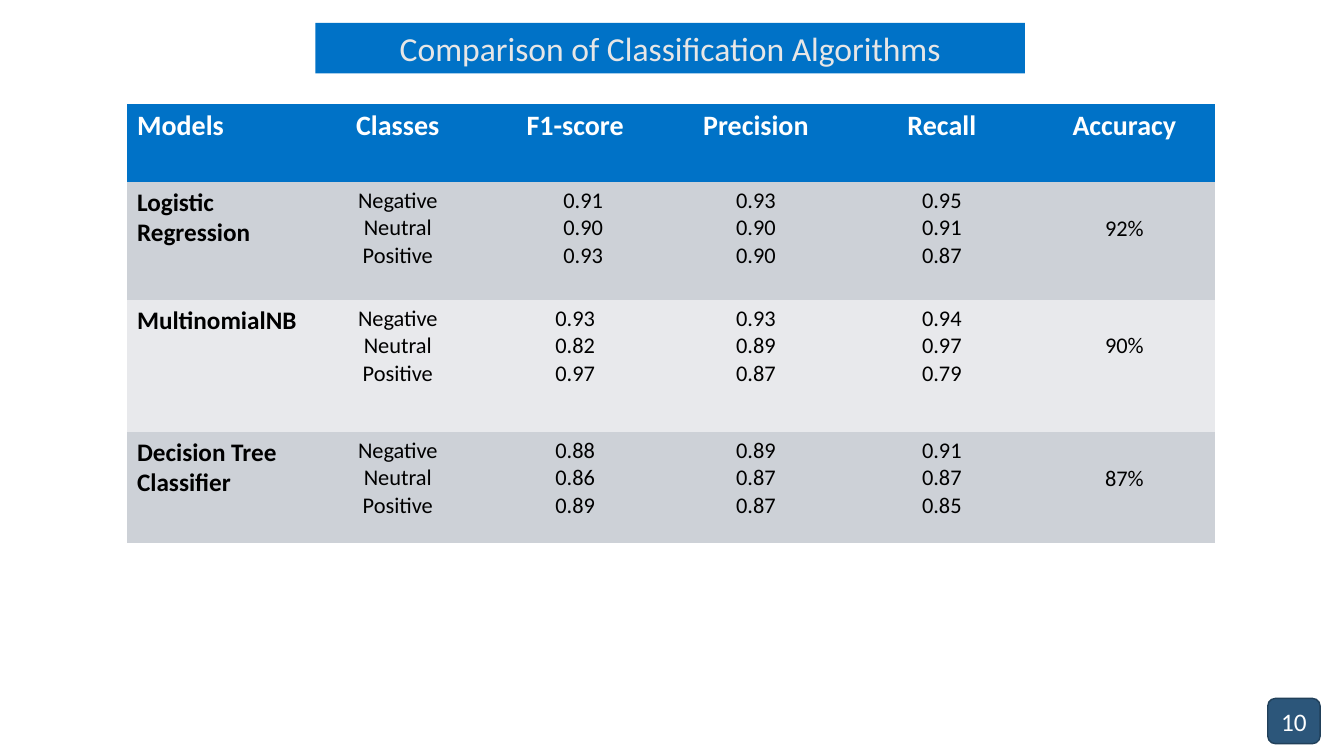
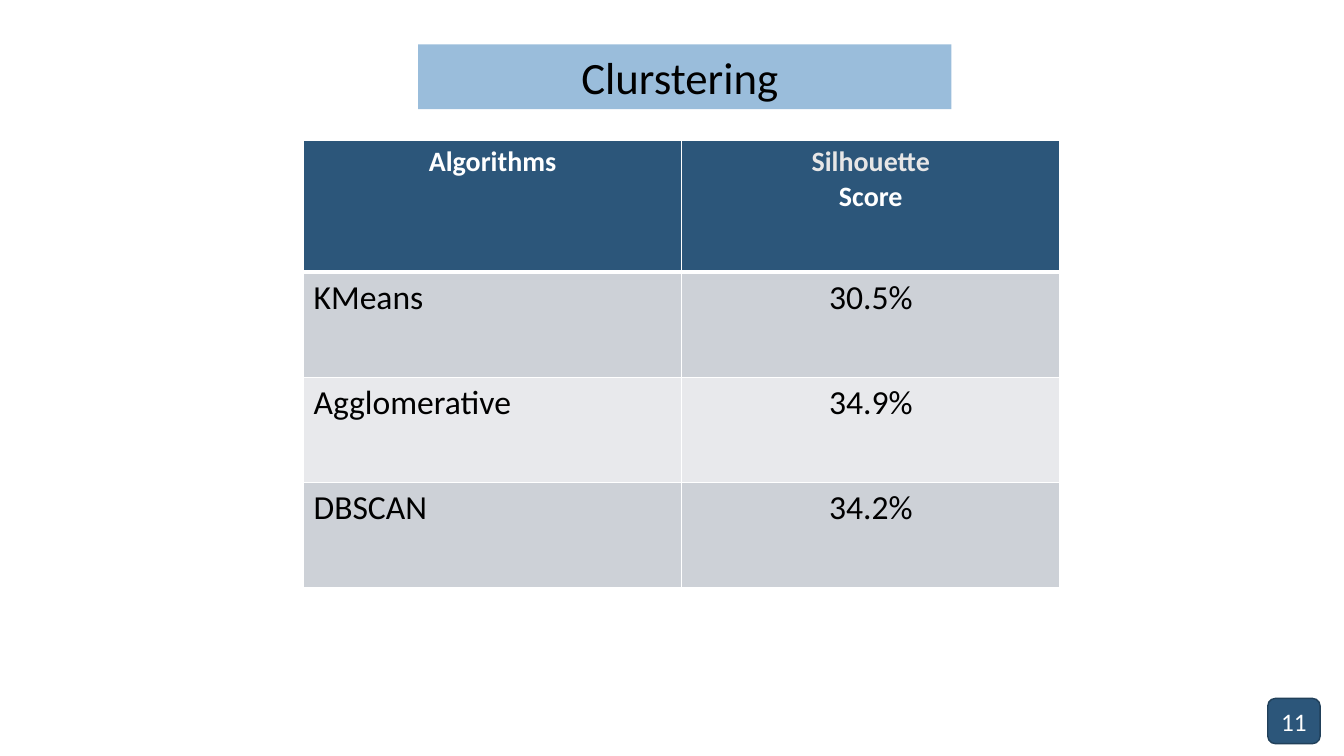
"""Build two slides that compare text models and clustering scores."""
from dataclasses import dataclass

from lxml.etree import SubElement as Sub
from pptx import Presentation as Deck
from pptx.dml.color import RGBColor as Rgb
from pptx.enum.shapes import MSO_SHAPE as Kind
from pptx.enum.text import MSO_ANCHOR as Anchor, PP_ALIGN as Align
from pptx.oxml.ns import qn
from pptx.shapes.autoshape import Shape
from pptx.slide import Slide
from pptx.table import Table
from pptx.text.text import TextFrame as Frame
from pptx.util import Cm, Pt

BLUE = Rgb(0x00, 0x72, 0xC7)
NAVY = Rgb(0x2C, 0x56, 0x7A)
EDGE = Rgb(0x21, 0x40, 0x5A)
SKY = Rgb(0x9A, 0xBD, 0xDB)
PALE = Rgb(0xE7, 0xE6, 0xE6)
WHITE = Rgb(0xFF, 0xFF, 0xFF)
BLACK = Rgb(0x00, 0x00, 0x00)
BANDS = (Rgb(0xCD, 0xD1, 0xD7), Rgb(0xE8, 0xE9, 0xEC))
FONT = "Calibri"
PLAIN = "{2D5ABB26-0587-4C30-8999-92F81FD0307C}"
LABELS = "Negative\nNeutral\nPositive"


@dataclass(frozen=True)
class Box:
    """Place and size in centimetres."""
    left: float
    top: float
    width: float
    height: float


@dataclass(frozen=True)
class Style:
    """Look of a piece of text."""
    size: int
    color: Rgb
    bold: bool = False
    align: Align = Align.CENTER


@dataclass(frozen=True)
class Grid:
    """Layout, looks and rows of a table."""
    left: float
    top: float
    cols: tuple[float, ...]
    rows: tuple[float, ...]
    fill: Rgb
    first: Style
    side: Style
    body: Style
    data: tuple[tuple[str, ...], ...]
    lined: bool = False


BADGE = Box(31.95, 17.6, 1.32, 1.14)
HEAD = Style(20, WHITE, True)

MODELS = Grid(
    3.2, 2.62, (4.55, 4.55, 4.39, 4.72, 4.65, 4.55), (1.97, 2.97, 3.33, 2.8), BLUE,
    Style(20, WHITE, True, Align.LEFT), Style(18, BLACK, True, Align.LEFT), Style(16, BLACK),
    (
        ("Models", "Classes", "F1-score", "Precision", "Recall", "Accuracy"),
        ("Logistic\nRegression", LABELS, "0.91\n0.90\n0.93", "0.93\n0.90\n0.90",
         "0.95\n0.91\n0.87", "92%"),
        ("MultinomialNB", LABELS, "0.93\n0.82\n0.97", "0.93\n0.89\n0.87",
         "0.94\n0.97\n0.79", "90%"),
        ("Decision Tree Classifier", LABELS, "0.88\n0.86\n0.89", "0.89\n0.87\n0.87",
         "0.91\n0.87\n0.85", "87%"),
    ),
)

SCORES = Grid(
    7.65, 3.53, (9.53,) * 2, (3.33,) + (2.65,) * 3, NAVY,
    HEAD, Style(24, BLACK, False, Align.LEFT), Style(24, BLACK),
    (
        ("Algorithms", "Silhouette\nScore"),
        ("KMeans", "30.5%"),
        ("Agglomerative", "34.9%"),
        ("DBSCAN", "34.2%"),
    ),
    lined=True,
)


def write(frame: Frame, text: str, style: Style) -> None:
    """Fill a text frame, one paragraph a line."""
    frame.text = text
    for para in frame.paragraphs:
        para.alignment = style.align
        font = para.font
        font.name, font.size, font.bold = FONT, Pt(style.size), style.bold
        font.color.rgb = style.color


def add_box(slide: Slide, kind: Kind, box: Box, fill: Rgb, text: str, style: Style) -> Shape:
    """Draw a filled shape with centred text."""
    shape = slide.shapes.add_shape(
        kind, Cm(box.left), Cm(box.top), Cm(box.width), Cm(box.height))
    shape.shadow.inherit = False
    shape.fill.solid()
    shape.fill.fore_color.rgb = fill
    shape.line.fill.background()
    shape.text_frame.word_wrap = True
    shape.text_frame.vertical_anchor = Anchor.MIDDLE
    write(shape.text_frame, text, style)
    return shape


def add_badge(slide: Slide, page: int) -> None:
    """Draw the page number in its corner."""
    shape = add_box(slide, Kind.ROUNDED_RECTANGLE, BADGE, NAVY, str(page), Style(18, WHITE))
    shape.line.color.rgb = EDGE
    shape.line.width = Pt(1)
    frame = shape.text_frame
    frame.margin_left = frame.margin_right = 0


def add_lines(table: Table) -> None:
    """Rule the cells in white, with a thick line below the head."""
    for row, line in enumerate(table.rows):
        for cell in line.cells:
            props = cell._tc.get_or_add_tcPr()
            thick = {"lnT": row == 1, "lnB": row == 0}
            for spot, side in enumerate(("lnL", "lnR", "lnT", "lnB")):
                width = Pt(3 if thick.get(side) else 1)
                rule = Sub(props, qn(f"a:{side}"), w=str(width))
                Sub(Sub(rule, qn("a:solidFill")), qn("a:srgbClr"), val=str(WHITE))
                props.insert(spot, rule)


def add_grid(slide: Slide, grid: Grid) -> Table:
    """Draw a banded table."""
    shape = slide.shapes.add_table(
        len(grid.rows), len(grid.cols), Cm(grid.left), Cm(grid.top),
        Cm(sum(grid.cols)), Cm(sum(grid.rows)))
    table = shape.table
    next(shape.element.iter(qn("a:tableStyleId"))).text = PLAIN
    for col, width in zip(table.columns, grid.cols):
        col.width = Cm(width)
    for row, (line, height, texts) in enumerate(zip(table.rows, grid.rows, grid.data)):
        line.height = Cm(height)
        for col, (cell, text) in enumerate(zip(line.cells, texts)):
            if row == 0:
                style = HEAD if col else grid.first
            else:
                style = grid.body if col else grid.side
            cell.fill.solid()
            cell.fill.fore_color.rgb = BANDS[(row - 1) % 2] if row else grid.fill
            write(cell.text_frame, text, style)
    if grid.lined:
        add_lines(table)
    return table


def add_models(slide: Slide) -> None:
    """Draw the slide on models."""
    add_box(slide, Kind.RECTANGLE, Box(7.95, 0.58, 17.88, 1.27), BLUE,
            "Comparison of Classification Algorithms", Style(24, PALE))
    table = add_grid(slide, MODELS)
    table.cell(1, 2).margin_left = Cm(0.66)
    for row in range(1, len(MODELS.rows)):
        table.cell(row, len(MODELS.cols) - 1).margin_top = Cm(0.82)


def add_scores(slide: Slide) -> None:
    """Draw the slide on clusters."""
    title = add_box(slide, Kind.RECTANGLE, Box(10.54, 1.12, 13.44, 1.63), SKY,
                    "Clurstering", Style(32, BLACK))
    title.text_frame.margin_right = Cm(0.5)
    table = add_grid(slide, SCORES)
    table.cell(0, 1).text_frame.paragraphs[0].font.color.rgb = PALE


def main() -> None:
    """Build and save the deck."""
    deck = Deck()
    deck.slide_width, deck.slide_height = Cm(33.87), Cm(19.05)
    for page, draw in enumerate((add_models, add_scores), 10):
        slide = deck.slides.add_slide(deck.slide_layouts[6])
        draw(slide)
        add_badge(slide, page)
    deck.save("out.pptx")


if __name__ == "__main__":
    main()
